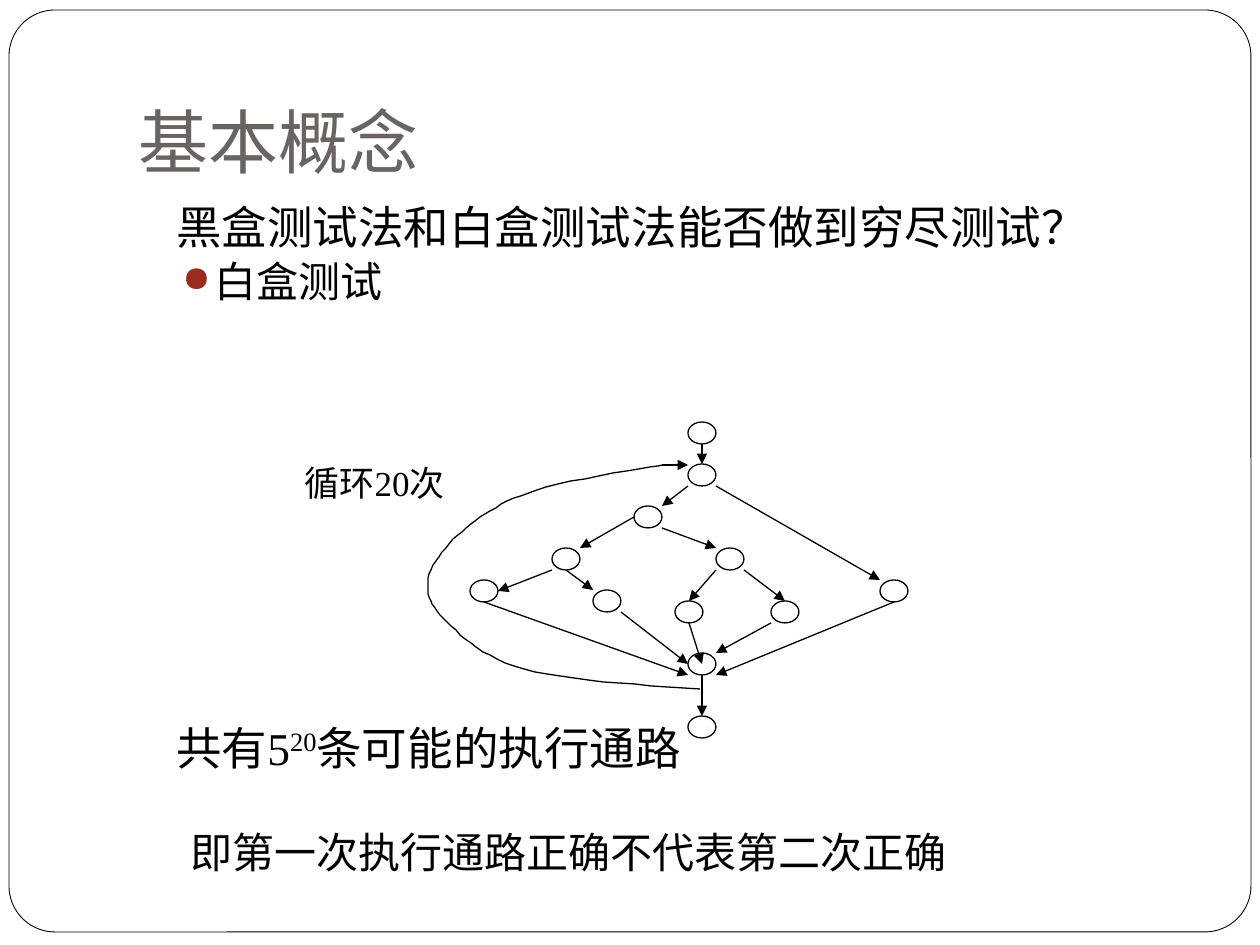
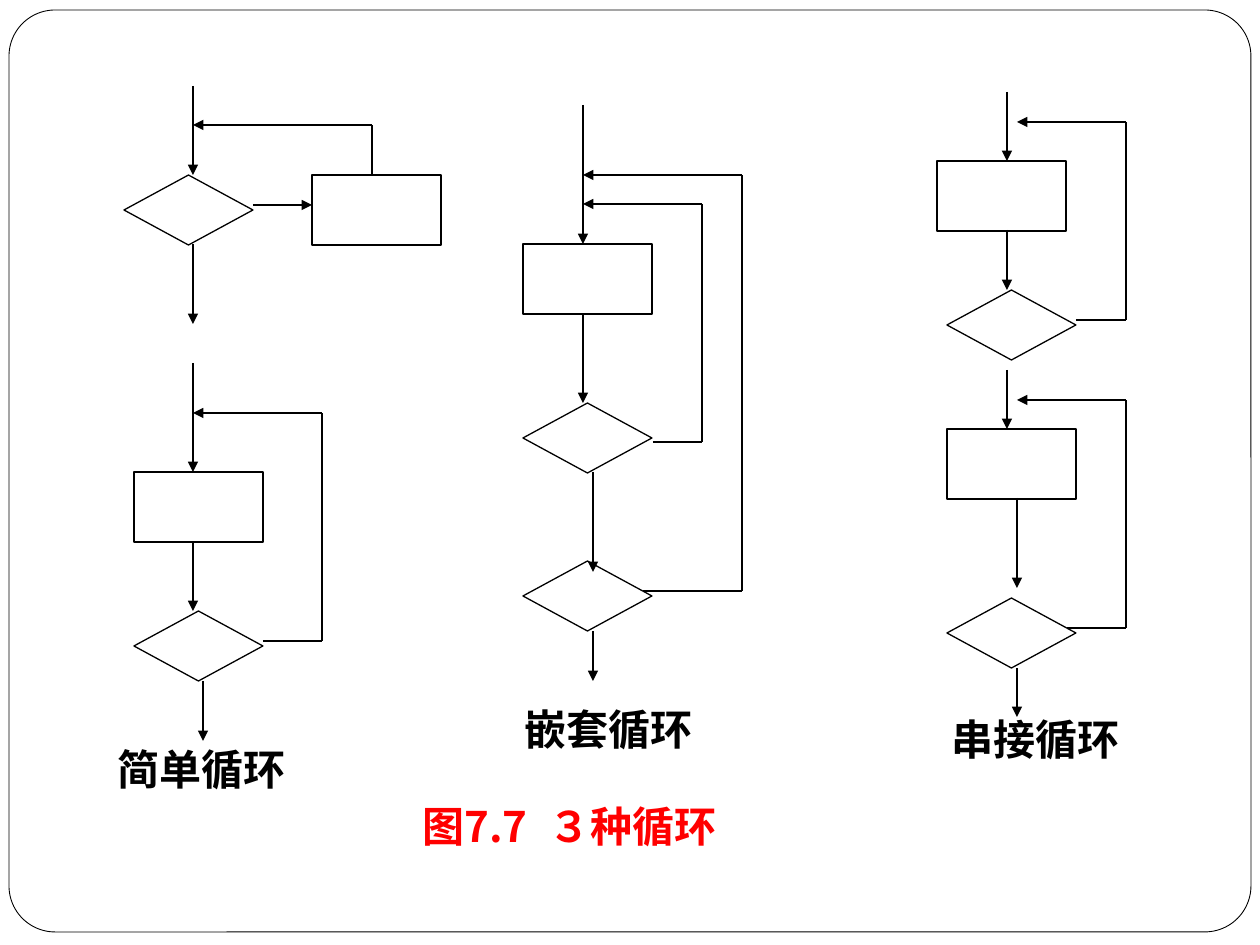
"""Build two slides on exhaustive white-box testing and the three kinds of loop."""
from dataclasses import dataclass

from lxml.etree import SubElement
from pptx import Presentation
from pptx.dml.color import RGBColor
from pptx.enum.shapes import MSO_CONNECTOR, MSO_SHAPE as Kind
from pptx.enum.text import MSO_ANCHOR as Anchor
from pptx.oxml.ns import qn
from pptx.util import Emu, Pt

PX = 914400 / 126


@dataclass(frozen=True)
class Theme:
    ink: RGBColor = RGBColor(0x00, 0x00, 0x00)
    paper: RGBColor = RGBColor(0xFF, 0xFF, 0xFF)
    heading: RGBColor = RGBColor(0x69, 0x64, 0x64)
    figure: RGBColor = RGBColor(0xFF, 0x00, 0x00)
    bullet: str = "9B2D1F"
    serif: str = "Times New Roman"
    sans: str = "Lato"
    chinese: str = "Noto Sans CJK SC"
    title_size: int = 40
    body_size: int = 26
    sub_size: int = 24
    label_size: int = 20
    frame_width: float = 0.5
    line_width: float = 0.75


theme = Theme()


def px(*lengths):
    return [Emu(round(length * PX)) for length in lengths]


def add_route(slide, points):
    for start, end in zip(points, points[1:]):
        leg = slide.shapes.add_connector(MSO_CONNECTOR.STRAIGHT, *px(*start, *end))
        leg.line.color.rgb = theme.ink
        leg.line.width = Pt(theme.line_width)
        if end == points[-1]:
            SubElement(leg.line._get_or_add_ln(), qn("a:tailEnd"), type="triangle")
        SubElement(leg._element.spPr, qn("a:effectLst"))


deck = Presentation()
deck.slide_width, deck.slide_height = px(1260, 945)
concept, loops = [deck.slides.add_slide(deck.slide_layouts[6]) for _ in range(2)]

NODE_W, NODE_H = 28, 22
nodes = {
    "entry": (702, 433), "loop": (702, 475), "branch": (648, 517),
    "left": (566, 559), "right": (730, 559), "right_b": (785, 612),
    "left_b": (607, 601), "left_a": (484, 591), "right_a": (689, 612),
    "bypass": (894, 591), "exit": (702, 727), "merge": (702, 664),
}
edges = [
    ("entry", 0, 1, "loop", 0, -1),
    ("loop", -1, 1, "branch", 1, -1),
    ("loop", 1, 1, "bypass", -1, -1),
    ("branch", -1, 0, "left", 1, -1),
    ("branch", 1, 1, "right", -1, -1),
    ("left", -1, 1, "left_a", 1, 0),
    ("left", 0, 1, "left_b", -1, -1),
    ("right", -1, 1, "right_a", 0, -1),
    ("right", 1, 1, "right_b", 0, -1),
    ("left_a", 0, 1, "merge", -1, 1),
    ("left_b", 1, 1, "merge", -1, 0),
    ("right_a", 0, 1, "merge", 0, 0),
    ("right_b", -1, 1, "merge", 1, -1),
    ("bypass", 0, 1, "merge", 1, 1),
    ("merge", 0, 1, "exit", 0, -1),
]

STEP_W, STEP_H = 129, 70
steps = [(312, 175), (134, 472), (523, 244), (947, 429), (937, 161)]
decisions = [(124, 175), (134, 611), (523, 561), (523, 403), (947, 598), (947, 290)]
flows = [
    [(193, 86), (193, 175)],
    [(253, 205), (312, 205)],
    [(193, 244), (193, 324)],
    [(372, 175), (372, 125), (193, 125)],
    [(193, 363), (193, 472)],
    [(193, 542), (193, 611)],
    [(203, 681), (203, 741)],
    [(263, 641), (322, 641), (322, 413), (193, 413)],
    [(583, 105), (583, 244)],
    [(583, 314), (583, 403)],
    [(593, 472), (593, 572)],
    [(593, 631), (593, 681)],
    [(653, 442), (702, 442), (702, 204), (583, 204)],
    [(643, 591), (742, 591), (742, 175), (583, 175)],
    [(1007, 92), (1007, 161)],
    [(1007, 230), (1007, 290)],
    [(1007, 370), (1007, 429)],
    [(1017, 498), (1017, 588)],
    [(1017, 668), (1017, 717)],
    [(1076, 320), (1126, 320), (1126, 122), (1017, 122)],
    [(1067, 628), (1126, 628), (1126, 400), (1017, 400)],
]

outlines = [(slide, Kind.ROUNDED_RECTANGLE, (9, 10, 1242, 922), theme.frame_width)
            for slide in (concept, loops)]
outlines += [(concept, Kind.FLOWCHART_CONNECTOR,
              (x - NODE_W // 2, y - NODE_H // 2, NODE_W, NODE_H), theme.line_width)
             for x, y in nodes.values()]
outlines += [(loops, kind, (*corner, STEP_W, STEP_H), theme.line_width)
             for kind, corners in ((Kind.RECTANGLE, steps), (Kind.DIAMOND, decisions))
             for corner in corners]

for slide, kind, box, width in outlines:
    outline = slide.shapes.add_shape(kind, *px(*box))
    outline.shadow.inherit = False
    outline.fill.solid()
    outline.fill.fore_color.rgb = theme.paper
    outline.line.color.rgb = theme.ink
    outline.line.width = Pt(width)
    if kind == Kind.ROUNDED_RECTANGLE:
        outline.adjustments[0] = 0.05

for source, sx, sy, target, tx, ty in edges:
    add_route(concept, [(nodes[name][0] + dx * NODE_W // 2, nodes[name][1] + dy * NODE_H // 2)
                        for name, dx, dy in ((source, sx, sy), (target, tx, ty))])
add_route(concept, [(662, 465), (688, 465)])
for flow in flows:
    add_route(loops, flow)

bends = [
    [(634, 685), (567, 680), (524, 669)],
    [(483, 658), (464, 638), (447, 622)],
    [(431, 607), (426, 595), (428, 578)],
    [(432, 562), (449, 542), (466, 528)],
    [(484, 513), (503, 501), (537, 490)],
    [(570, 479), (665, 465), (665, 465)],
]
loop_back = [(700, 689)]
for bend in bends:
    corners = [loop_back[-1], *bend]
    for t in [i / 12 for i in range(1, 13)]:
        weights = ((1 - t) ** 3, 3 * t * (1 - t) ** 2, 3 * t * t * (1 - t), t ** 3)
        loop_back.append(tuple(sum(w * c[axis] for w, c in zip(weights, corners))
                               for axis in (0, 1)))
builder = concept.shapes.build_freeform(*loop_back[0], scale=PX)
builder.add_line_segments(loop_back[1:], close=False)
return_path = builder.convert_to_shape()
return_path.shadow.inherit = False
return_path.fill.background()
return_path.line.color.rgb = theme.ink
return_path.line.width = Pt(theme.line_width)

title = {"name": theme.sans, "size": Pt(theme.title_size), "color": theme.heading}
body = {"name": theme.serif, "size": Pt(theme.body_size), "color": theme.ink}
sub = {**body, "size": Pt(theme.sub_size)}
label = {**body, "size": Pt(theme.label_size)}
caption = {**sub, "bold": True}
figure = {**caption, "name": theme.chinese, "color": theme.figure}

texts = [
    (concept, (126, 38, 1071, 157), Anchor.BOTTOM, [(["基本概念"], title, {})]),
    (concept, (126, 199, 1071, 630), Anchor.TOP, [
        (["黑盒测试法和白盒测试法能否做到穷尽测试？"], body, {"margin": 38, "spacing": 0.9}),
        (["白盒测试"], sub, {"margin": 76, "hang": 32, "spacing": 0.9, "before": 3.7}),
        (["共有5", "20", "条可能的执行通路"], body,
         {"margin": 38, "spacing": 0.9, "before": 240}),
    ]),
    (concept, (292, 455, 205, 55), Anchor.TOP, [(["循环20次"], label, {})]),
    (concept, (178, 820, 850, 63), Anchor.TOP,
     [(["即第一次执行通路正确不代表第二次正确"], sub, {})]),
    (loops, (105, 737, 220, 63), Anchor.TOP, [(["简单循环"], caption, {})]),
    (loops, (512, 697, 220, 63), Anchor.TOP, [(["嵌套循环"], caption, {})]),
    (loops, (939, 707, 220, 63), Anchor.TOP, [(["串接循环"], caption, {})]),
    (loops, (410, 794, 400, 63), Anchor.TOP, [(["图7.7\t３种循环"], figure, {"tab": 144})]),
]

for slide, box, anchor, paragraphs in texts:
    frame = slide.shapes.add_textbox(*px(*box)).text_frame
    frame.word_wrap = True
    frame.vertical_anchor = anchor
    if anchor == Anchor.BOTTOM:
        frame.margin_bottom = px(13)[0]
    for number, (parts, style, layout) in enumerate(paragraphs):
        line = frame.add_paragraph() if number else frame.paragraphs[0]
        props = line._p.get_or_add_pPr()
        props.set("marL", str(px(layout.get("margin", 0))[0]))
        props.set("indent", str(px(-layout.get("hang", 0))[0]))
        if "hang" in layout:
            SubElement(SubElement(props, qn("a:buClr")), qn("a:srgbClr"), val=theme.bullet)
            SubElement(props, qn("a:buSzPct"), val="85000")
            SubElement(props, qn("a:buChar"), char="●")
        if "tab" in layout:
            stops = SubElement(props, qn("a:tabLst"))
            SubElement(stops, qn("a:tab"), pos=str(px(layout["tab"])[0]), algn="l")
        if "spacing" in layout:
            line.line_spacing = layout["spacing"]
        if "before" in layout:
            line.space_before = Pt(layout["before"])
        for part in parts:
            run = line.add_run()
            run.text = part
            for key, value in style.items():
                if key == "color":
                    run.font.color.rgb = value
                else:
                    setattr(run.font, key, value)
            SubElement(run.font._element, qn("a:ea"), typeface=theme.chinese)
            if part == "20":
                run.font._element.set("baseline", "30000")

deck.save("out.pptx")
